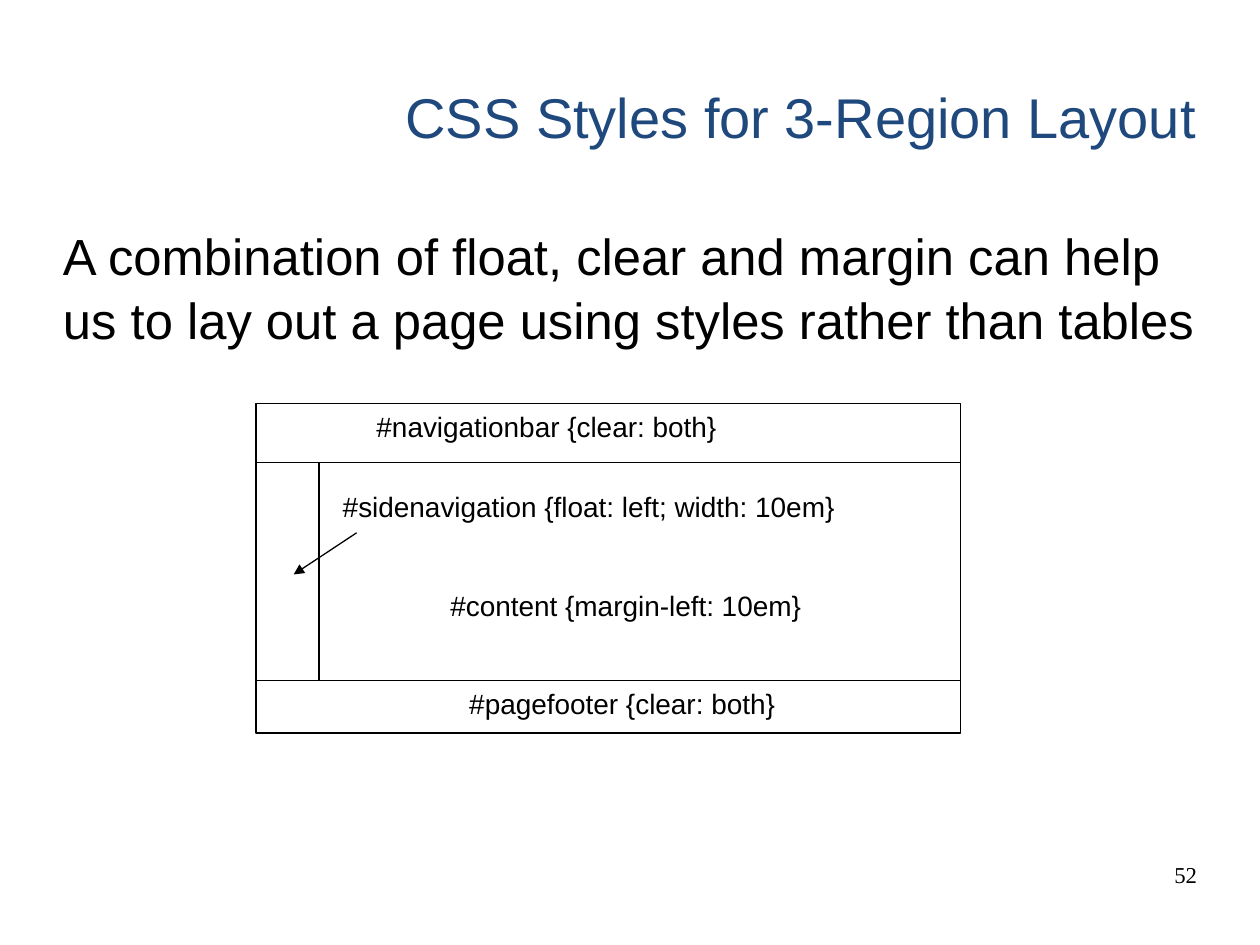
from lxml.etree import SubElement
from pptx import Presentation
from pptx.dml.color import RGBColor
from pptx.enum.shapes import MSO_CONNECTOR as CONN, MSO_SHAPE as SHAPE
from pptx.enum.text import MSO_ANCHOR as ANCHOR, PP_ALIGN as ALIGN
from pptx.oxml.ns import qn
from pptx.util import Cm, Pt

BLACK = RGBColor(0x00, 0x00, 0x00)
WHITE = RGBColor(0xFF, 0xFF, 0xFF)
NAVY = RGBColor(0x1F, 0x49, 0x7D)

LEFT, SIDE_WIDTH, WIDTH = 5.16, 1.27, 14.2
NAV_TOP, MAIN_TOP, FOOT_TOP, BOTTOM = 8.13, 9.32, 13.72, 14.78


def add_text(s, text, x, y, w, h, size=16, font="Arial", color=BLACK,
             align=ALIGN.LEFT, anchor=ANCHOR.TOP, insets=(0, 0, 0, 0),
             spacing=None):
    tf = s.shapes.add_textbox(Cm(x), Cm(y), Cm(w), Cm(h)).text_frame
    tf.word_wrap = True
    tf.vertical_anchor = anchor
    (tf.margin_left, tf.margin_top,
     tf.margin_right, tf.margin_bottom) = map(Cm, insets)
    p = tf.paragraphs[0]
    p.alignment = align
    p.line_spacing = spacing
    r = p.add_run()
    r.text = text
    r.font.size = Pt(size)
    r.font.name = font
    r.font.color.rgb = color


def add_label(s, text, x, y, w, h=1.07, indent=0.25):
    add_text(s, text, x, y, w, h, insets=(indent, 0.13, 0, 0.13))


def add_region(s, x, top, right, bottom):
    sp = s.shapes.add_shape(SHAPE.RECTANGLE, Cm(x), Cm(top),
                            Cm(right - x), Cm(bottom - top))
    sp.shadow.inherit = False
    sp.fill.solid()
    sp.fill.fore_color.rgb = WHITE
    sp.line.color.rgb = BLACK
    sp.line.width = Pt(0.75)


def add_arrow(s, x1, y1, x2, y2):
    c = s.shapes.add_connector(CONN.STRAIGHT, Cm(x1), Cm(y1), Cm(x2), Cm(y2))
    c.line.color.rgb = BLACK
    c.line.width = Pt(0.75)
    SubElement(c.line._get_or_add_ln(), qn("a:tailEnd"), type="triangle")
    SubElement(c._element.spPr, qn("a:effectLst"))


def main():
    prs = Presentation()
    prs.slide_width, prs.slide_height = Cm(25.4), Cm(19.05)
    s = prs.slides.add_slide(prs.slide_layouts[6])

    add_text(s, "CSS Styles for 3-Region Layout", 1.27, 0.76, 22.86, 3.18,
             size=32, color=NAVY, align=ALIGN.RIGHT, anchor=ANCHOR.MIDDLE)
    add_text(s, "A combination of float, clear and margin can help us to lay "
             "out a page using styles rather than tables",
             1.27, 4.47, 22.94, 4.27, size=29, spacing=1.05)
    add_text(s, "52", 18.21, 17.35, 5.92, 1.32, size=13,
             font="Times New Roman", align=ALIGN.RIGHT)

    right = LEFT + WIDTH
    add_region(s, 6.35, MAIN_TOP, right, FOOT_TOP)
    add_region(s, LEFT, NAV_TOP, right, MAIN_TOP)
    add_label(s, "#navigationbar {clear: both}", 7.34, NAV_TOP, 8.56)
    add_region(s, LEFT, MAIN_TOP, LEFT + SIDE_WIDTH, FOOT_TOP)
    add_label(s, "#sidenavigation {float: left; width: 10em}",
              6.35, 9.73, 11.66, indent=0.56)
    add_arrow(s, 7.19, 10.74, 5.92, 11.58)
    add_label(s, "#content {margin-left: 10em}", 8.36, 11.73, 8.46,
              indent=0.72)
    add_region(s, LEFT, FOOT_TOP, right, BOTTOM)
    add_label(s, "#pagefooter {clear: both}", 8.74, FOOT_TOP, 7.19, h=0.84,
              indent=0.72)

    prs.save("out.pptx")


if __name__ == "__main__":
    main()
